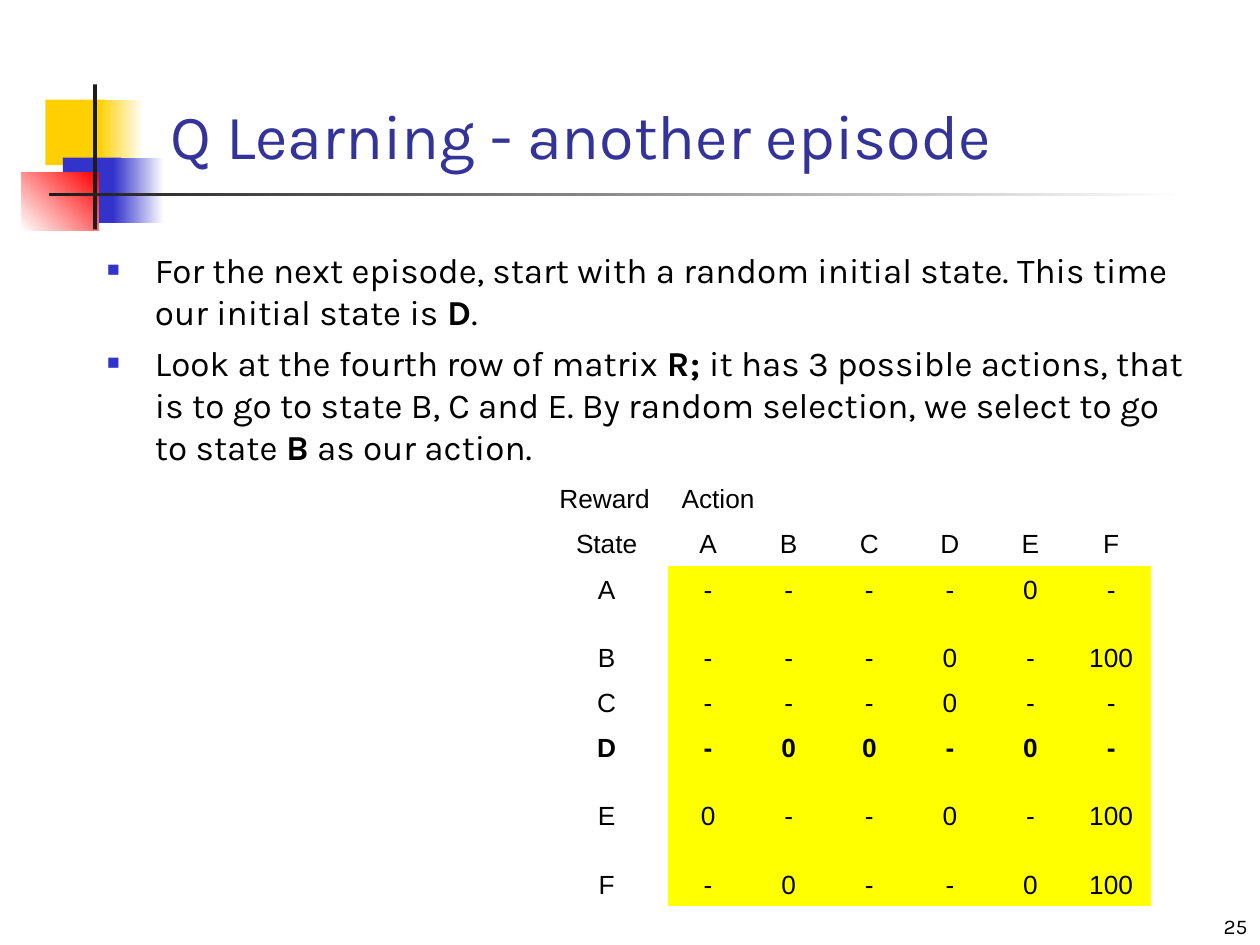
from lxml import etree
from pptx import Presentation
from pptx import util as u
from pptx.dml.color import RGBColor
from pptx.enum import shapes, text
from pptx.oxml import ns

PX = 9144
HUES = {
    "gold": "FFCF01", "blue": "3333CC", "red": "FF0000", "ink": "1C1C1C",
    "white": "FFFFFF", "title": "333399", "black": "000000", "cell": "FFFF00",
}
PLAIN = "{2D5ABB26-0587-4C30-8999-92F81FD0307C}"
LEFT, MID, RIGHT = text.PP_ALIGN.LEFT, text.PP_ALIGN.CENTER, text.PP_ALIGN.RIGHT

BLOCKS = [
    ((36, 79, 48, 52), ["gold"], 0),
    ((78, 79, 36, 52), ["gold", "white"], 0),
    ((50, 125, 46, 52), ["blue"], 0),
    ((90, 125, 40, 52), ["blue", "white"], 0),
    ((17, 137, 61, 46), ["white", "red"], 45),
    ((74, 67, 3, 115), ["ink"], 0),
    ((39, 153, 900, 3), ["ink", "white"], 0),
]
POINTS = [
    [("For the next episode, start with a random initial state. "
      "This time our initial state is ", False), ("D", True), (".", False)],
    [("Look at the fourth row of matrix ", False), ("R; ", True),
     ("it has 3 possible actions, that is to go to state B, C and E. "
      "By random selection, we select to go to state ", False),
     ("B", True), (" as our action.", False)],
]
GRID = [
    ["Reward", "Action", "", "", "", "", ""],
    ["State", "A", "B", "C", "D", "E", "F"],
    ["A", "-", "-", "-", "-", "0", "-"],
    ["B", "-", "-", "-", "0", "-", "100"],
    ["C", "-", "-", "-", "0", "-", "-"],
    ["D", "-", "0", "0", "-", "0", "-"],
    ["E", "0", "-", "-", "0", "-", "100"],
    ["F", "-", "0", "-", "-", "0", "100"],
]


def rgb(name):
    return RGBColor.from_string(HUES[name])


def write(para, words, size=20, face="Karla", hue="black", bold=False, align=LEFT):
    para.alignment = align
    run = para.add_run()
    run.text = words
    font = run.font
    font.size, font.name, font.bold = u.Pt(size), face, bold
    font.color.rgb = rgb(hue)


def bullet(para):
    props = para._p.get_or_add_pPr()
    props.set("marL", str(38 * PX))
    props.set("indent", str(-38 * PX))
    tint = etree.SubElement(props, ns.qn("a:buClr"))
    etree.SubElement(tint, ns.qn("a:srgbClr"), val=HUES["blue"])
    etree.SubElement(props, ns.qn("a:buSzPct"), val="60000")
    etree.SubElement(props, ns.qn("a:buFont"), typeface="Arial")
    etree.SubElement(props, ns.qn("a:buChar"), char="■")


class Deck:
    def __init__(self, wide, high):
        self.prs = Presentation()
        self.prs.slide_width, self.prs.slide_height = wide * PX, high * PX
        self.slide = self.prs.slides.add_slide(self.prs.slide_layouts[1])

    def place(self, item, box, anchor):
        item.left, item.top, item.width, item.height = [n * PX for n in box]
        frame = item.text_frame
        frame.word_wrap = True
        frame.auto_size = text.MSO_AUTO_SIZE.NONE
        frame.vertical_anchor = anchor
        return frame

    def block(self, box, hues, angle):
        item = self.slide.shapes.add_shape(
            shapes.MSO_SHAPE.RECTANGLE, *[n * PX for n in box])
        item.shadow.inherit = False
        item.line.fill.background()
        if len(hues) == 1:
            item.fill.solid()
            item.fill.fore_color.rgb = rgb(hues[0])
            return
        item.fill.gradient()
        item.fill.gradient_angle = angle
        for stop, hue in zip(item.fill.gradient_stops, hues):
            stop.color.rgb = rgb(hue)

    def title(self, box, words):
        frame = self.place(self.slide.shapes.title, box, text.MSO_ANCHOR.BOTTOM)
        write(frame.paragraphs[0], words, size=36, hue="title")

    def body(self, box, points):
        frame = self.place(self.slide.placeholders[1], box, text.MSO_ANCHOR.TOP)
        for i, runs in enumerate(points):
            para = frame.add_paragraph() if i else frame.paragraphs[0]
            para.space_before = u.Pt(5 if i else 0)
            bullet(para)
            for words, bold in runs:
                write(para, words, bold=bold)

    def number(self, box, words):
        item = self.slide.shapes.add_textbox(0, 0, PX, PX)
        frame = self.place(item, box, text.MSO_ANCHOR.BOTTOM)
        write(frame.paragraphs[0], words, size=12, align=RIGHT)

    def table(self, left, top, wides, highs, grid):
        table = self.slide.shapes.add_table(
            len(highs), len(wides), left * PX, top * PX,
            sum(wides) * PX, sum(highs) * PX).table
        table.first_row = table.horz_banding = False
        table._tbl.tblPr.find(ns.qn("a:tableStyleId")).text = PLAIN
        for col, wide in zip(table.columns, wides):
            col.width = wide * PX
        for row, high in zip(table.rows, highs):
            row.height = high * PX
        table.cell(0, 1).merge(table.cell(0, 2))
        for r, line in enumerate(grid):
            for c, words in enumerate(line):
                cell = table.cell(r, c)
                cell.vertical_anchor = text.MSO_ANCHOR.BOTTOM
                cell.margin_left = cell.margin_right = 11 * PX
                if r > 1 and c > 0:
                    cell.fill.solid()
                    cell.fill.fore_color.rgb = rgb("cell")
                else:
                    cell.fill.background()
                if words:
                    write(cell.text_frame.paragraphs[0], words, size=15,
                          face="Arial", bold=r == 5, align=MID if r else LEFT)


def main():
    deck = Deck(1000, 750)
    for box, hues, angle in BLOCKS:
        deck.block(box, hues, angle)
    deck.number((792, 708, 208, 42), "25")
    deck.title((125, 75, 852, 67), "Q Learning - another episode")
    deck.body((75, 192, 883, 517), POINTS)
    deck.table(433, 350, [97] + [64] * 6, [63, 36, 36, 54, 36, 36, 54, 54], GRID)
    deck.prs.save("out.pptx")


if __name__ == "__main__":
    main()
